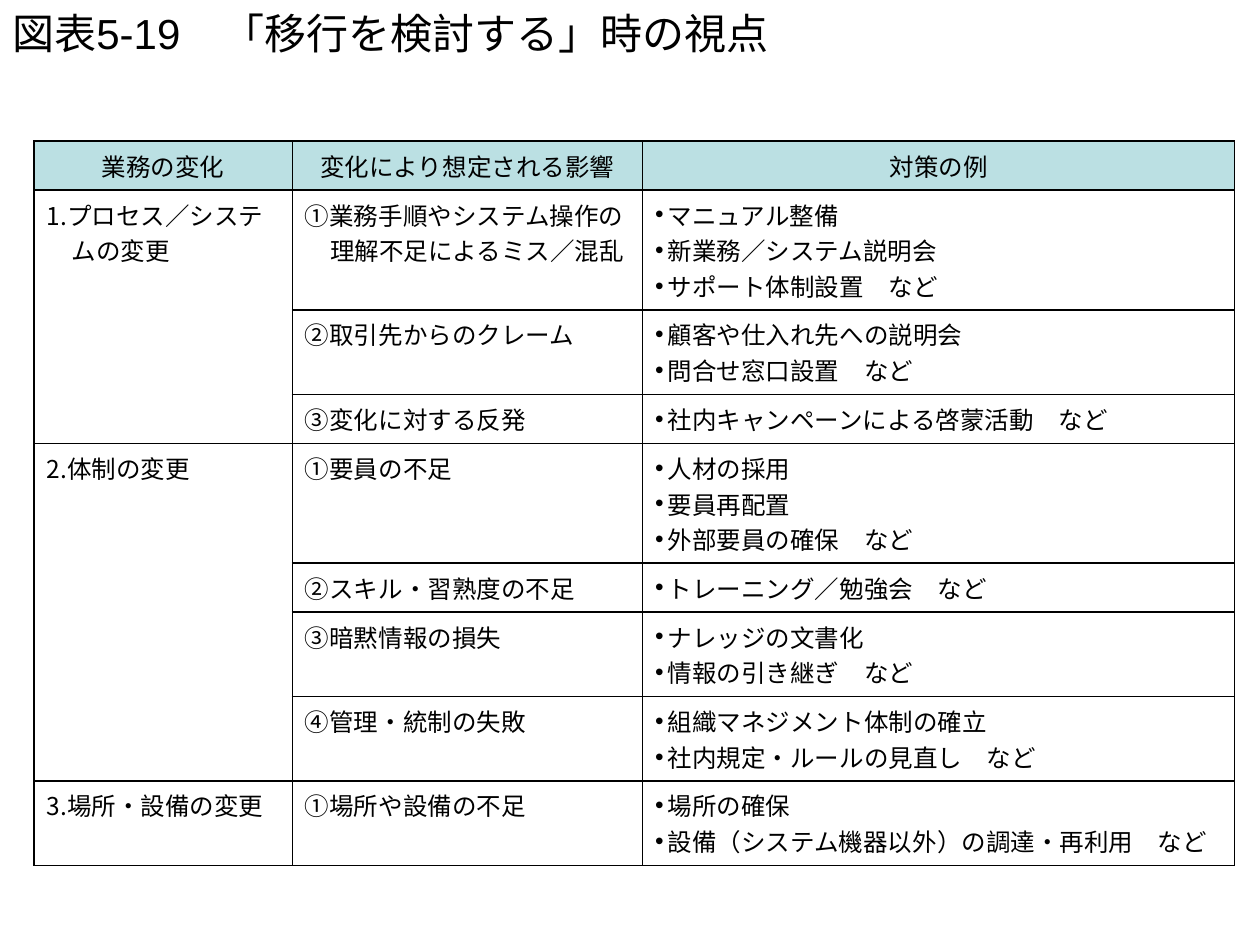
"""Build a slide with a table of viewpoints for considering a migration."""
from lxml.etree import SubElement
from pptx import Presentation
from pptx.dml.color import RGBColor
from pptx.enum.text import MSO_ANCHOR, PP_ALIGN
from pptx.oxml.ns import qn
from pptx.util import Inches, Pt

TITLE = "図表5-19　「移行を検討する」時の視点"
HEADERS = ["業務の変化", "変化により想定される影響", "対策の例"]
CHANGES = [
    ("1.プロセス／システムの変更", [
        ("①業務手順やシステム操作の理解不足によるミス／混乱",
         ["マニュアル整備", "新業務／システム説明会", "サポート体制設置　など"]),
        ("②取引先からのクレーム", ["顧客や仕入れ先への説明会", "問合せ窓口設置　など"]),
        ("③変化に対する反発", ["社内キャンペーンによる啓蒙活動　など"]),
    ]),
    ("2.体制の変更", [
        ("①要員の不足", ["人材の採用", "要員再配置", "外部要員の確保　など"]),
        ("②スキル・習熟度の不足", ["トレーニング／勉強会　など"]),
        ("③暗黙情報の損失", ["ナレッジの文書化", "情報の引き継ぎ　など"]),
        ("④管理・統制の失敗", ["組織マネジメント体制の確立", "社内規定・ルールの見直し　など"]),
    ]),
    ("3.場所・設備の変更", [
        ("①場所や設備の不足", ["場所の確保", "設備（システム機器以外）の調達・再利用　など"]),
    ]),
]
COLUMN_WIDTHS = [2.05, 2.78, 4.7]
TABLE_LEFT, TABLE_TOP = 0.27, 1.12
LINE_HEIGHT, ROW_PADDING = 0.28, 0.11
BLACK, WHITE, HEADER_FILL = "000000", "FFFFFF", "BBE0E3"
TABLE_FONT = "Noto Sans CJK JP"


def color(value):
    return RGBColor.from_string(value)


def style_font(paragraph, size, name):
    paragraph.font.size = Pt(size)
    paragraph.font.color.rgb = color(BLACK)
    paragraph.font.name = name
    defaults = paragraph._p.get_or_add_pPr().find(qn("a:defRPr"))
    SubElement(defaults, qn("a:ea"), typeface=TABLE_FONT)


def set_indent(paragraph, indent, bullet):
    properties = paragraph._p.get_or_add_pPr()
    properties.set("marL", str(Inches(indent)))
    properties.set("indent", str(-Inches(indent)))
    if bullet:
        SubElement(properties, qn("a:buFont"), typeface="Arial")
        SubElement(properties, qn("a:buChar"), char="•")


def set_borders(cell):
    properties = cell._tc.get_or_add_tcPr()
    for position, side in enumerate(("lnL", "lnR", "lnT", "lnB")):
        line = SubElement(properties, qn(f"a:{side}"), w=str(Pt(1)))
        fill = SubElement(line, qn("a:solidFill"))
        SubElement(fill, qn("a:srgbClr"), val=BLACK)
        properties.insert(position, line)


def fill_cell(cell, lines, indent=0, bullet=False, alignment=PP_ALIGN.LEFT):
    cell.text_frame.text = "\n".join(lines)
    for paragraph in cell.text_frame.paragraphs:
        paragraph.alignment = alignment
        if indent:
            set_indent(paragraph, indent, bullet)
        style_font(paragraph, 14, TABLE_FONT)


def add_title(slide):
    box = slide.shapes.add_textbox(0, 0, Inches(10), Inches(0.52))
    frame = box.text_frame
    frame.word_wrap = True
    frame.vertical_anchor = MSO_ANCHOR.MIDDLE
    frame.text = TITLE
    style_font(frame.paragraphs[0], 24, "Arial")


def add_change_table(slide):
    line_counts = [1] + [len(measures) for _, effects in CHANGES for _, measures in effects]
    heights = [ROW_PADDING + LINE_HEIGHT * count for count in line_counts]
    table = slide.shapes.add_table(
        len(heights), len(COLUMN_WIDTHS), Inches(TABLE_LEFT), Inches(TABLE_TOP),
        Inches(sum(COLUMN_WIDTHS)), Inches(sum(heights))).table
    table.first_row = table.horz_banding = False
    for column, width in zip(table.columns, COLUMN_WIDTHS):
        column.width = Inches(width)
    for index, (row, height) in enumerate(zip(table.rows, heights)):
        row.height = Inches(height)
        for cell in row.cells:
            cell.fill.solid()
            cell.fill.fore_color.rgb = color(WHITE if index else HEADER_FILL)
            set_borders(cell)

    for column, header in enumerate(HEADERS):
        fill_cell(table.cell(0, column), [header], alignment=PP_ALIGN.CENTER)
    row = 1
    for change, effects in CHANGES:
        change_cell = table.cell(row, 0)
        if len(effects) > 1:
            change_cell.merge(table.cell(row + len(effects) - 1, 0))
        fill_cell(change_cell, [change], 0.2)
        for effect, measures in effects:
            fill_cell(table.cell(row, 1), [effect], 0.2)
            fill_cell(table.cell(row, 2), measures, 0.1, bullet=True)
            row += 1


def main():
    presentation = Presentation()
    presentation.slide_width = Inches(10)
    presentation.slide_height = Inches(7.5)
    slide = presentation.slides.add_slide(presentation.slide_layouts[6])
    add_title(slide)
    add_change_table(slide)
    presentation.save("out.pptx")


if __name__ == "__main__":
    main()
